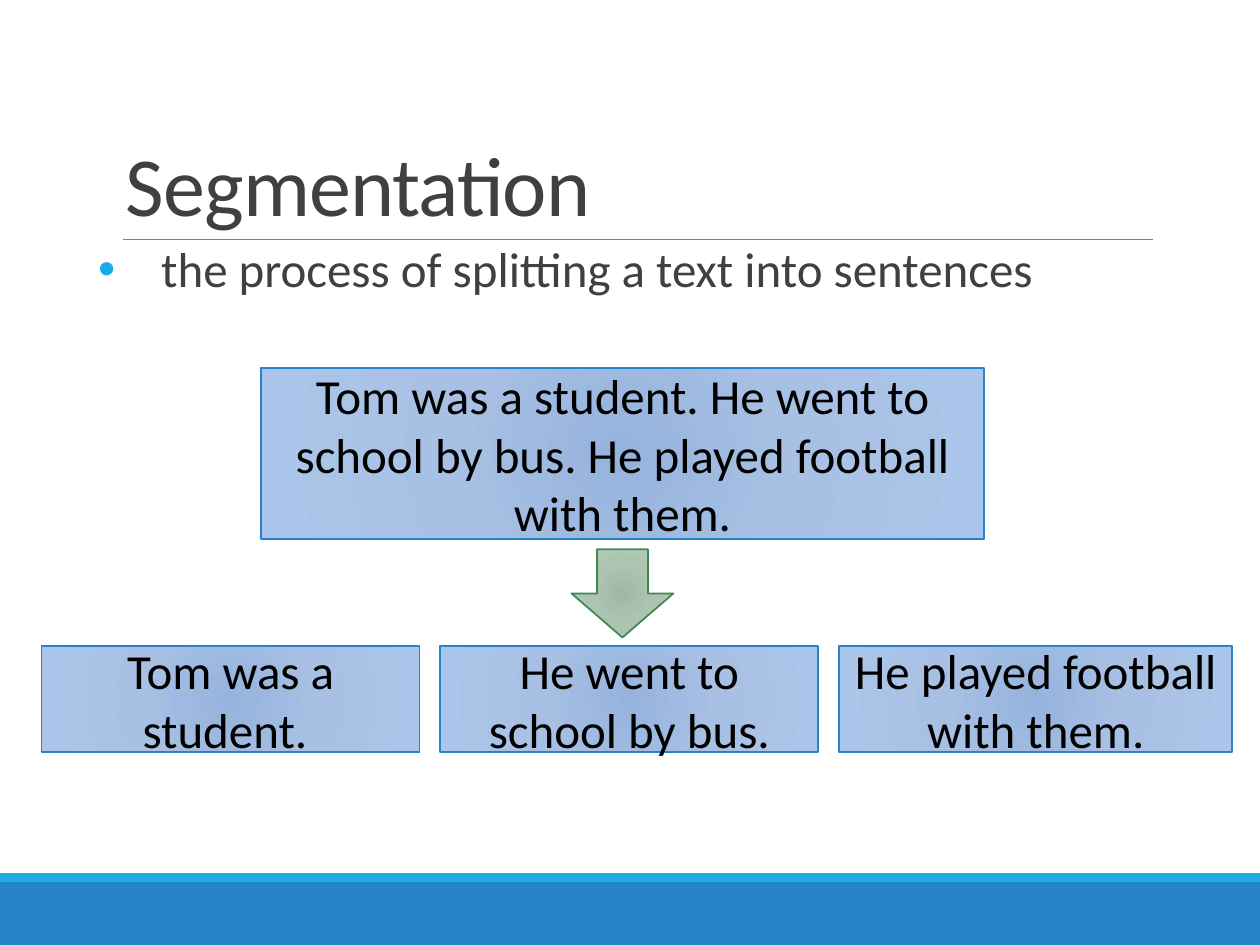
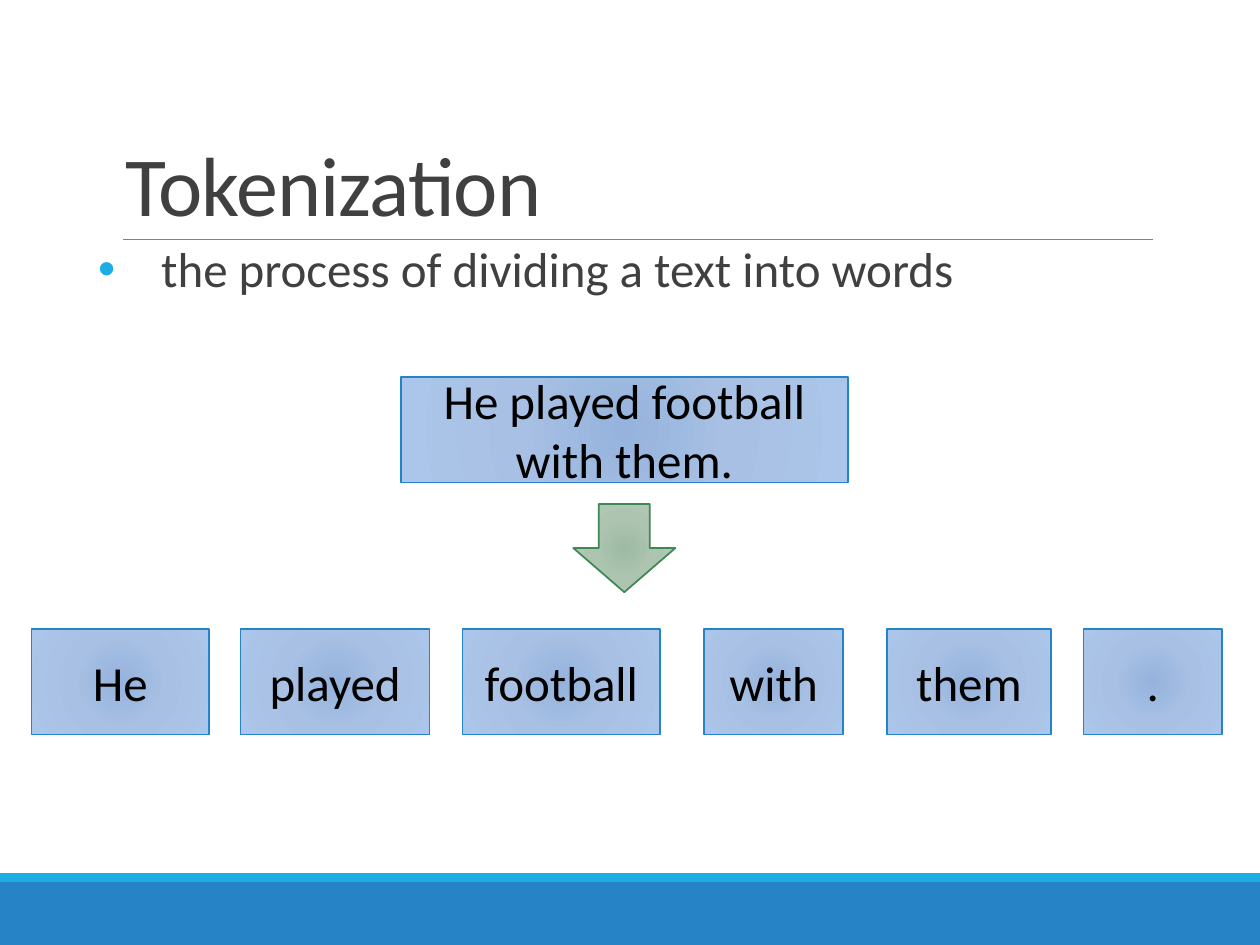
from collections import namedtuple
from lxml.etree import SubElement
from pptx import Presentation
from pptx.dml.color import RGBColor
from pptx.enum.shapes import MSO_CONNECTOR, MSO_SHAPE
from pptx.enum.text import MSO_ANCHOR, PP_ALIGN
from pptx.oxml import parse_xml
from pptx.oxml.ns import nsdecls, qn
from pptx.util import Inches, Pt

COLUMNS, ROWS = 100, 75
UNIT = Inches(0.1)
FONT = "Calibri"

BLUE = RGBColor(0x26, 0x83, 0xC6)
CYAN = RGBColor(0x1C, 0xAD, 0xE4)
GREEN = RGBColor(0x3E, 0x88, 0x53)
RULE_GRAY = RGBColor(0x80, 0x80, 0x80)
DARK_GRAY = RGBColor(0x40, 0x40, 0x40)
BLACK = RGBColor(0, 0, 0)
BLUE_GLOW = (
    RGBColor(0x95, 0xB3, 0xDD),
    RGBColor(0xA7, 0xC0, 0xE3),
    RGBColor(0xAC, 0xC6, 0xEB),
)
GREEN_GLOW = (
    RGBColor(0x9D, 0xBA, 0xA3),
    RGBColor(0xAD, 0xC4, 0xB1),
    RGBColor(0xB4, 0xCD, 0xB9),
)
GLOW_STOPS = (0, 45, 100)

Box = namedtuple("Box", "left top width height")

TITLE_BOX = Box(9, 3.1, 82.5, 15.9)
BODY_BOX = Box(7.8, 19, 83.7, 44)
FOOTER_BOX = Box(0, 69.3, COLUMNS, 5.7)
STRIPE_HEIGHT = 0.7
RULE_INDENT = 0.8
ARROW_WIDTH, ARROW_HEIGHT = 8.1, 7
PIECE_HEIGHT = 8.4

TITLE_FONT = {"name": FONT, "size": Pt(48), "color": DARK_GRAY}
BODY_FONT = {"name": FONT, "size": Pt(28), "color": DARK_GRAY}
PIECE_FONT = {"name": FONT, "size": Pt(28), "color": BLACK}


def place(box):
    return [round(length * UNIT) for length in box]


def write(text_frame, text, font_values, frame_values, paragraph_values):
    text_frame.word_wrap = True
    for name, value in frame_values.items():
        setattr(text_frame, name, value)
    paragraph = text_frame.paragraphs[0]
    for name, value in paragraph_values.items():
        setattr(paragraph, name, value)
    run = paragraph.add_run()
    run.text = text
    for name, value in font_values.items():
        if name == "color":
            run.font.color.rgb = value
        else:
            setattr(run.font, name, value)
    return paragraph


def add_plain_shape(slide, kind, box):
    shape = slide.shapes.add_shape(kind, *place(box))
    shape.shadow.inherit = False
    return shape


def add_glowing_shape(slide, kind, box, glow, line_color):
    shape = add_plain_shape(slide, kind, box)
    shape.line.color.rgb = line_color
    shape.line.width = Pt(1)
    shape.fill.background()
    stops = "".join(
        f'<a:gs pos="{stop * 1000}"><a:srgbClr val="{color}"/></a:gs>'
        for stop, color in zip(GLOW_STOPS, glow)
    )
    gradient = parse_xml(
        f'<a:gradFill {nsdecls("a")} rotWithShape="1"><a:gsLst>{stops}</a:gsLst>'
        '<a:path path="circle"><a:fillToRect l="100000" t="100000" r="100000" b="100000"/>'
        "</a:path></a:gradFill>"
    )
    properties = shape._element.spPr
    properties.replace(properties.find(qn("a:noFill")), gradient)
    return shape


def add_footer(slide, box):
    stripe = box._replace(height=STRIPE_HEIGHT)
    band = box._replace(top=box.top + STRIPE_HEIGHT, height=box.height - STRIPE_HEIGHT)
    for part, color in ((band, BLUE), (stripe, CYAN)):
        shape = add_plain_shape(slide, MSO_SHAPE.RECTANGLE, part)
        shape.fill.solid()
        shape.fill.fore_color.rgb = color
        shape.line.fill.background()


def add_title(slide, box, text):
    right, bottom = box.left + box.width, box.top + box.height
    rule = slide.shapes.add_connector(
        MSO_CONNECTOR.STRAIGHT, *place((box.left + RULE_INDENT, bottom, right, bottom))
    )
    rule.line.color.rgb = RULE_GRAY
    rule.line.width = Pt(0.5)
    SubElement(rule._element.spPr, qn("a:effectLst"))
    title = slide.shapes.add_textbox(*place(box))
    paragraph = write(
        title.text_frame, text, TITLE_FONT,
        {"vertical_anchor": MSO_ANCHOR.BOTTOM}, {"line_spacing": 0.85},
    )
    paragraph.runs[0]._r.get_or_add_rPr().set("spc", "-50")


def add_definition(slide, box, text):
    definition = slide.shapes.add_textbox(*place(box))
    paragraph = write(
        definition.text_frame, text, BODY_FONT,
        {"margin_left": 0, "margin_right": 0},
        {"line_spacing": 0.9, "space_after": Pt(2)},
    )
    properties = paragraph._p.get_or_add_pPr()
    properties.set("marL", str(Inches(0.5)))
    properties.set("indent", str(-Inches(0.5)))
    bullet_color = SubElement(properties, qn("a:buClr"))
    SubElement(bullet_color, qn("a:srgbClr"), val=str(CYAN))
    SubElement(properties, qn("a:buFont"), typeface="Arial")
    SubElement(properties, qn("a:buChar"), char="•")


def add_piece(slide, box, text):
    piece = add_glowing_shape(slide, MSO_SHAPE.RECTANGLE, box, BLUE_GLOW, BLUE)
    write(
        piece.text_frame, text, PIECE_FONT,
        {"vertical_anchor": MSO_ANCHOR.MIDDLE}, {"alignment": PP_ALIGN.CENTER},
    )


def add_arrow_below(slide, box, gap):
    arrow_box = Box(
        box.left + (box.width - ARROW_WIDTH) / 2,
        box.top + box.height + gap, ARROW_WIDTH, ARROW_HEIGHT,
    )
    add_glowing_shape(slide, MSO_SHAPE.DOWN_ARROW, arrow_box, GREEN_GLOW, GREEN)


def add_piece_row(slide, left, top, pieces):
    for text, width, gap_after in pieces:
        add_piece(slide, Box(left, top, width, PIECE_HEIGHT), text)
        left += width + gap_after


def add_splitting_slide(presentation, content):
    slide = presentation.slides.add_slide(presentation.slide_layouts[6])
    add_footer(slide, FOOTER_BOX)
    add_title(slide, TITLE_BOX, content["title"])
    add_definition(slide, BODY_BOX, content["definition"])
    add_piece(slide, content["source_box"], content["source"])
    add_arrow_below(slide, content["source_box"], content["arrow_gap"])
    add_piece_row(slide, *content["row_start"], content["pieces"])


SLIDES = (
    {
        "title": "Segmentation",
        "definition": "the process of splitting a text into sentences",
        "source": "Tom was a student. He went to school by bus. He played football with them.",
        "source_box": Box(20.7, 29.2, 57.4, 13.6),
        "arrow_gap": 0.8,
        "row_start": (3.3, 51.3),
        "pieces": (
            ("Tom was a student. ", 30, 1.65),
            ("He went to school by bus.", 30, 1.65),
            ("He played football with them.", 31.2, 0),
        ),
    },
    {
        "title": "Tokenization",
        "definition": "the process of dividing a text into words",
        "source": "He played football with them.",
        "source_box": Box(31.8, 29.9, 35.5, PIECE_HEIGHT),
        "arrow_gap": 1.7,
        "row_start": (2.5, 49.9),
        "pieces": (
            ("He", 14.1, 2.5),
            ("played", 15, 2.6),
            ("football", 15.7, 3.5),
            ("with", 11, 3.5),
            ("them", 13, 2.6),
            (".", 11, 0),
        ),
    },
)


def main():
    presentation = Presentation()
    presentation.slide_width = COLUMNS * UNIT
    presentation.slide_height = ROWS * UNIT
    for content in SLIDES:
        add_splitting_slide(presentation, content)
    presentation.save("out.pptx")


if __name__ == "__main__":
    main()
